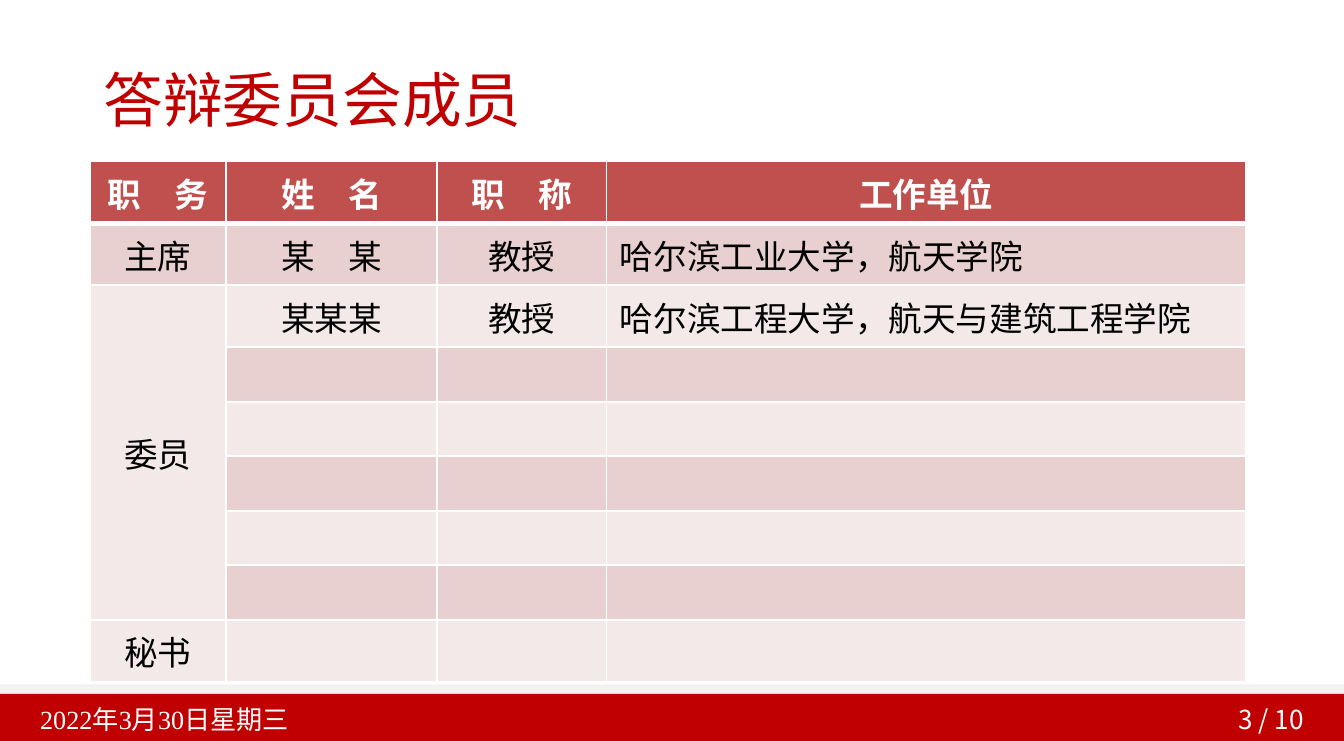
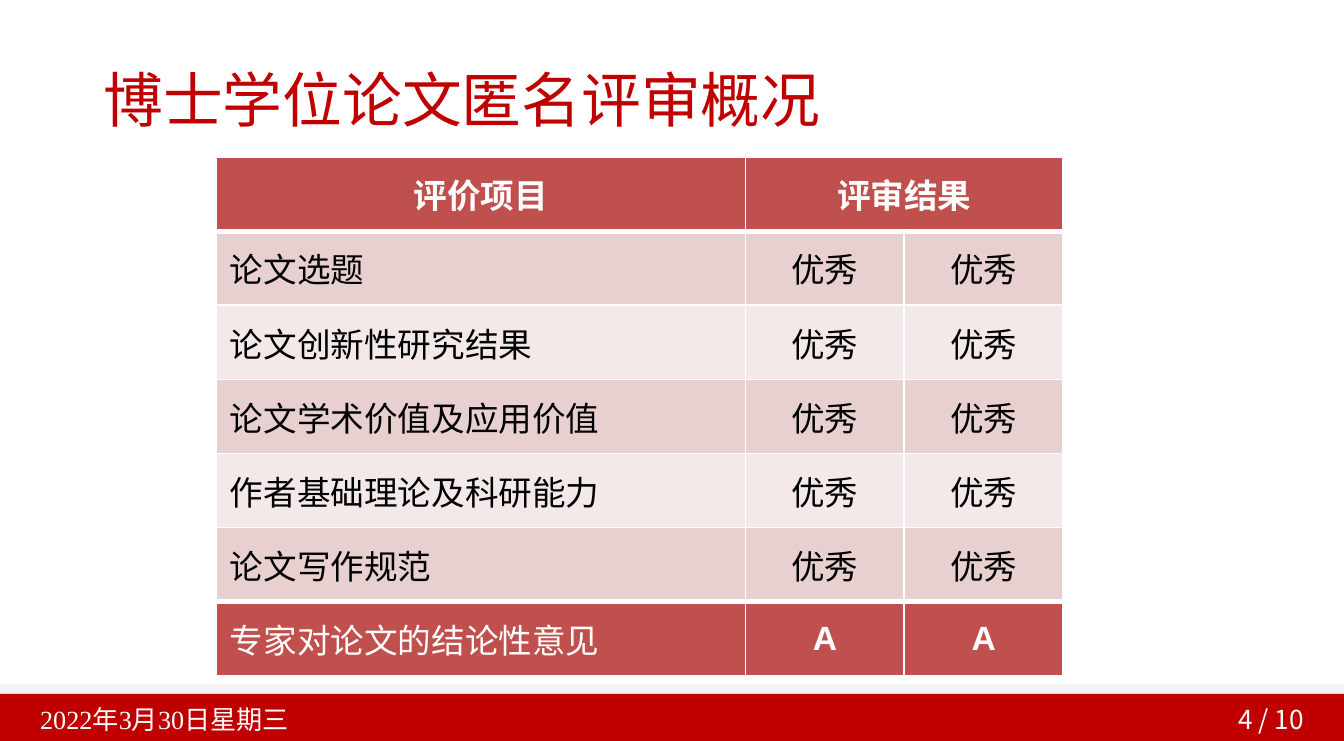
from lxml import etree
from pptx import Presentation
from pptx.dml.color import RGBColor
from pptx.enum.shapes import MSO_SHAPE
from pptx.enum.text import MSO_ANCHOR, MSO_AUTO_SIZE, PP_ALIGN
from pptx.oxml.ns import qn
from pptx.util import Cm, Pt

RECTANGLE = MSO_SHAPE.RECTANGLE
TOP, MIDDLE = MSO_ANCHOR.TOP, MSO_ANCHOR.MIDDLE
LEFT, CENTER, RIGHT = PP_ALIGN.LEFT, PP_ALIGN.CENTER, PP_ALIGN.RIGHT
NO_AUTOFIT = MSO_AUTO_SIZE.NONE

# Shared colours and fonts
RED, PALE_GREY, WHITE, BLACK = "C00000", "F2F2F2", "FFFFFF", "000000"
HEADER_FILL, STRIPES = "C0504D", ("E8D0D0", "F4E9E9")
SANS, SERIF, LATIN_SANS = "Noto Sans CJK SC", "Times New Roman", "Arial"
THIN, THICK = Pt(1), Pt(3)


def set_color(fill, color):
    fill.solid()
    fill.fore_color.rgb = RGBColor.from_string(color)


def style_text(paragraph, size, face, color, align=LEFT, bold=False):
    paragraph.alignment = align
    font = paragraph.font
    font.size, font.name, font.bold = Pt(size), face, bold
    set_color(font.fill, color)
    defaults = paragraph._p.pPr.find(qn("a:defRPr"))
    etree.SubElement(defaults, qn("a:ea"), typeface=SANS)


# Slide content; lengths in cm, "merge" as (first cell, last cell)
pages = [
    {
        "title": "答辩委员会成员",
        "number": 3,
        "corner": (1.7, 3.05),
        "widths": [2.57, 3.99, 3.2, 12.09],
        "heights": [1.17] * 3 + [1.03] * 5 + [1.17],
        "merge": ((2, 0), (7, 0)),
        "left_column": 3,
        "total_row": None,
        "rows": [
            ["职　务", "姓　名", "职　称", "工作单位"],
            ["主席", "某　某", "教授", "哈尔滨工业大学，航天学院"],
            ["委员", "某某某", "教授", "哈尔滨工程大学，航天与建筑工程学院"],
            *[[""] * 4 for _ in range(5)],
            ["秘书", "", "", ""],
        ],
    },
    {
        "title": "博士学位论文匿名评审概况",
        "number": 4,
        "corner": (4.09, 2.97),
        "widths": [10, 3, 3],
        "heights": [1.4] * 7,
        "merge": ((0, 1), (0, 2)),
        "left_column": 0,
        "total_row": 6,
        "rows": [
            ["评价项目", "评审结果", ""],
            ["论文选题", "优秀", "优秀"],
            ["论文创新性研究结果", "优秀", "优秀"],
            ["论文学术价值及应用价值", "优秀", "优秀"],
            ["作者基础理论及科研能力", "优秀", "优秀"],
            ["论文写作规范", "优秀", "优秀"],
            ["专家对论文的结论性意见", "A", "A"],
        ],
    },
]

prs = Presentation()
prs.slide_width, prs.slide_height = Cm(25.4), Cm(14)
title_only = prs.slide_layouts[5]

for page in pages:
    slide = prs.slides.add_slide(title_only)

    # Bottom bands
    for top, height, color in ((12.93, 0.99, PALE_GREY), (13.11, 0.89, RED)):
        band = slide.shapes.add_shape(RECTANGLE, 0, Cm(top), prs.slide_width, Cm(height))
        band.shadow.inherit = False
        set_color(band.fill, color)
        band.line.fill.background()

    # Title
    title = slide.shapes.title
    title.left, title.top, title.width, title.height = Cm(1.7), Cm(1.22), Cm(21.9), Cm(1.35)
    heading = title.text_frame
    heading.text = page["title"]
    heading.auto_size = NO_AUTOFIT
    heading.vertical_anchor = TOP
    heading.paragraphs[0].line_spacing = 0.9
    style_text(heading.paragraphs[0], 32, SANS, RED)

    # Footer: date and page number
    for left, words, face, align in (
        (0.51, "2022年3月30日星期三", SERIF, LEFT),
        (18.97, f"{page['number']} / 10", SANS, RIGHT),
    ):
        footer = slide.shapes.add_textbox(Cm(left), Cm(13.21), Cm(5.92), Cm(0.74)).text_frame
        footer.word_wrap = True
        footer.vertical_anchor = MIDDLE
        footer.text = words
        style_text(footer.paragraphs[0], 14, face, WHITE, align)

    # Table grid
    rows, widths, heights = page["rows"], page["widths"], page["heights"]
    x, y = page["corner"]
    table = slide.shapes.add_table(
        len(rows), len(widths), Cm(x), Cm(y), Cm(sum(widths)), Cm(sum(heights))
    ).table
    for column, width in zip(table.columns, widths):
        column.width = Cm(width)
    for table_row, height in zip(table.rows, heights):
        table_row.height = Cm(height)
    first, last = page["merge"]
    table.cell(*first).merge(table.cell(*last))

    # Cells: text, striped fill, white borders
    total_row = page["total_row"]
    thick_edges = {1, total_row}
    for r, row in enumerate(rows):
        for c, words in enumerate(row):
            cell = table.cell(r, c)
            cell.text = words
            cell.vertical_anchor = MIDDLE
            is_header, is_total = r == 0, r == total_row
            is_left = c == page["left_column"] and not is_header
            is_grade = is_total and not is_left
            style_text(
                cell.text_frame.paragraphs[0],
                18,
                LATIN_SANS if is_grade else SERIF,
                WHITE if is_header or is_total else BLACK,
                LEFT if is_left else CENTER,
                is_header or is_grade,
            )
            # A merged block keeps the stripe of its first row
            stripe = first[0] if c == first[1] and first[0] <= r <= last[0] else r
            set_color(cell.fill, HEADER_FILL if is_header or is_total else STRIPES[(stripe + 1) % 2])

            borders = {
                "a:lnL": THIN,
                "a:lnR": THIN,
                "a:lnT": THICK if r in thick_edges else THIN,
                "a:lnB": THICK if r + 1 in thick_edges else THIN,
            }
            properties = cell._tc.get_or_add_tcPr()
            for position, (side, weight) in enumerate(borders.items()):
                border = etree.Element(qn(side), w=str(weight))
                paint = etree.SubElement(border, qn("a:solidFill"))
                etree.SubElement(paint, qn("a:srgbClr"), val=WHITE)
                properties.insert(position, border)

prs.save("out.pptx")
